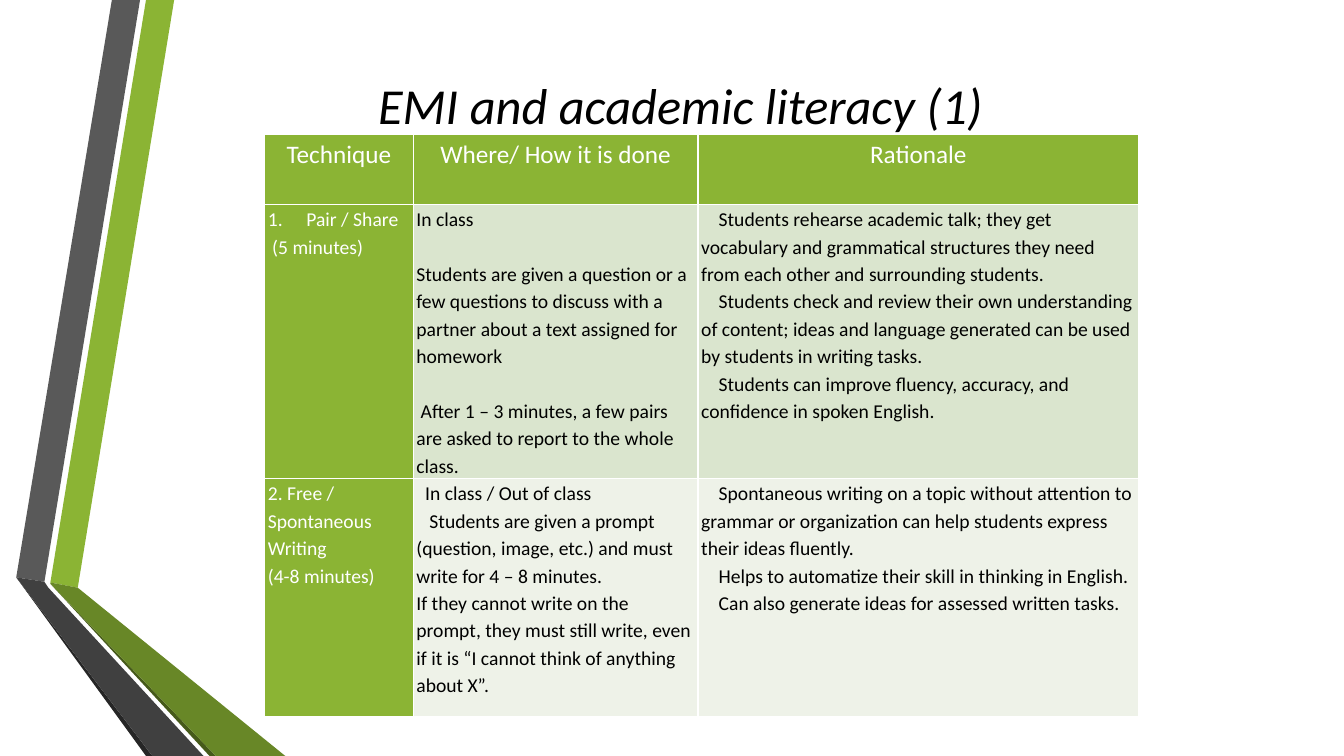
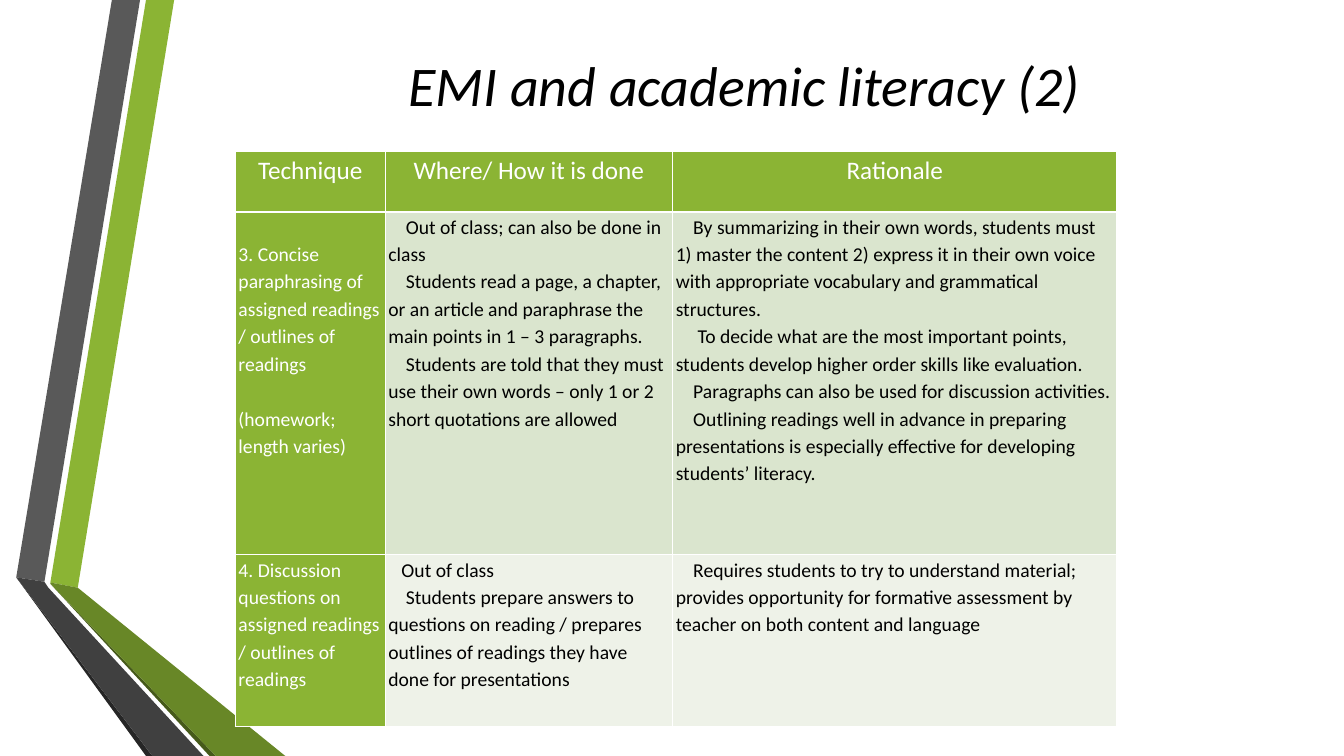
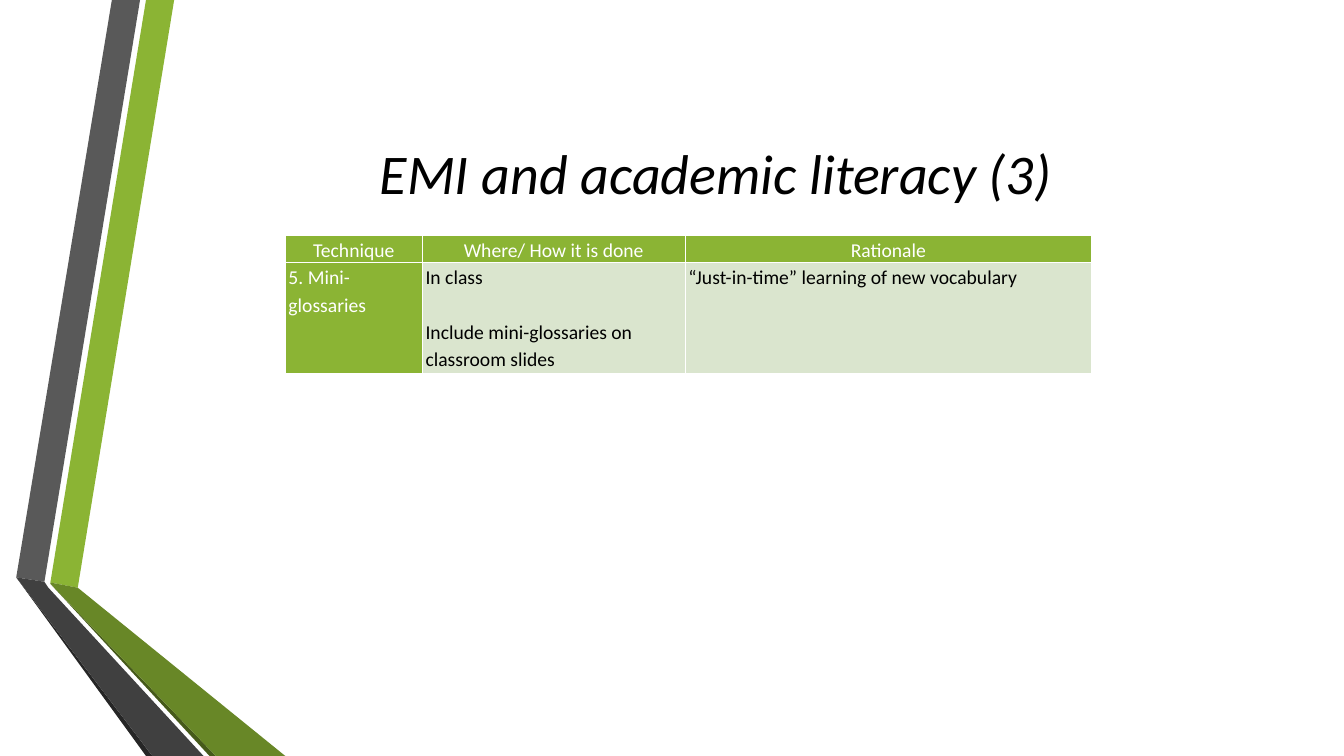
from dataclasses import dataclass

from lxml.etree import SubElement
from pptx import Presentation
from pptx.dml.color import RGBColor
from pptx.enum.text import MSO_ANCHOR, MSO_AUTO_SIZE, PP_ALIGN
from pptx.oxml.ns import qn
from pptx.util import Cm, Pt

FONT = "Calibri"
COLORS = {
    "green": "8BB434", "green_dark": "688727", "green_edge": "465A1A",
    "gray": "595959", "gray_dark": "404040", "gray_edge": "262626",
    "band_1": "DAE5CE", "band_2": "EEF2E8",
    "white": "FFFFFF", "black": "000000",
}
# Outlines in hundredths of a centimetre, from back to front
RIBBONS = [
    ("green", [(127, 1468), (196, 1481), (439, 0), (368, 0)]),
    ("gray", [(353, 0), (282, 0), (41, 1455), (112, 1466)]),
    ("gray_edge", [(41, 1455), (368, 1905), (384, 1905)]),
    ("green_edge", [(127, 1471), (528, 1905), (544, 1905)]),
    ("green_dark", [(127, 1471), (544, 1905), (719, 1905), (196, 1481), (127, 1468)]),
    ("gray_dark", [(513, 1905), (122, 1481), (112, 1466), (41, 1455), (384, 1905)]),
]
HEADERS = ["Technique", "Where/ How it is done", "Rationale"]
COLUMN_SHARES = [0.17, 0.326, 0.504]
BODY_SIZE = 14
LINE_SPACING = 1.15
BLANK_LINE = Pt(19.6)
SPACE_WIDTH = 0.11
NUMBER_INDENT = Cm(0.97)


@dataclass
class Para:
    """A cell paragraph; indent counts space widths, gap leaves a line above."""
    text: str
    indent: int = 4
    gap: bool = False
    numbered: bool = False


def plain(text, gap=False):
    return Para(text, 0, gap)


class Deck:
    def __init__(self):
        self.prs = Presentation()
        self.prs.slide_width, self.prs.slide_height = Cm(33.87), Cm(19.05)
        self.s = None

    def color(self, name):
        return RGBColor.from_string(COLORS[name])

    def add_slide(self, title, box, size):
        self.s = self.prs.slides.add_slide(self.prs.slide_layouts[5])
        self.ribbons()
        self.title(title, box, size)

    def ribbons(self):
        for color, points in RIBBONS:
            builder = self.s.shapes.build_freeform(*points[0], scale=Cm(0.01))
            builder.add_line_segments(points[1:], close=True)
            sp = builder.convert_to_shape()
            sp.shadow.inherit = False
            sp.fill.solid()
            sp.fill.fore_color.rgb = self.color(color)
            sp.line.fill.background()

    def title(self, text, box, size):
        sp = self.s.shapes.title
        sp.left, sp.top, sp.width, sp.height = map(Cm, box)
        tf = sp.text_frame
        tf.text = text
        tf.word_wrap = True
        tf.auto_size = MSO_AUTO_SIZE.NONE
        tf.vertical_anchor = MSO_ANCHOR.MIDDLE
        p = tf.paragraphs[0]
        p.alignment = PP_ALIGN.CENTER
        self.format_runs(p, size, "black")
        p.runs[0].font.italic = True

    def format_runs(self, p, size, color):
        for r in p.runs:
            r.font.name = FONT
            r.font.size = Pt(size)
            r.font.color.rgb = self.color(color)

    def table(self, left, top, width, heights, rows, header_size=18):
        frame = self.s.shapes.add_table(len(heights), len(HEADERS), Cm(left), Cm(top),
                                        Cm(width), Cm(sum(heights)))
        table = frame.table
        table.first_row = table.horz_banding = False
        for column, share in zip(table.columns, COLUMN_SHARES):
            column.width = Cm(width * share)
        for row, height in zip(table.rows, heights):
            row.height = Cm(height)
        for j, header in enumerate(HEADERS):
            self.cell(table.cell(0, j), [plain(header)], "green", header_size,
                      PP_ALIGN.CENTER)
        for i, row in enumerate(rows, 1):
            for j, paras in enumerate(row):
                fill = f"band_{2 - i % 2}" if j else "green"
                self.cell(table.cell(i, j), paras, fill)

    def cell(self, cell, paras, fill, size=BODY_SIZE, align=PP_ALIGN.LEFT):
        cell.margin_left = cell.margin_right = Cm(0.08)
        cell.margin_top = BLANK_LINE if paras[0].gap else 0
        cell.margin_bottom = 0
        self.borders(cell)
        cell.fill.solid()
        cell.fill.fore_color.rgb = self.color(fill)
        tf = cell.text_frame
        tf.text = "\n".join(para.text for para in paras)
        for k, (p, para) in enumerate(zip(tf.paragraphs, paras)):
            p.alignment = align
            p.line_spacing = LINE_SPACING
            if para.gap and k:
                p.space_before = BLANK_LINE
            self.indent(p, para)
            self.format_runs(p, size, "white" if fill == "green" else "black")

    def indent(self, p, para):
        pPr = p._p.get_or_add_pPr()
        if para.numbered:
            pPr.set("marL", str(NUMBER_INDENT))
            pPr.set("indent", str(-NUMBER_INDENT))
            SubElement(pPr, qn("a:buFont"), typeface="+mj-lt")
            SubElement(pPr, qn("a:buAutoNum"), type="arabicPeriod")
        elif para.indent:
            pPr.set("indent", str(Cm(para.indent * SPACE_WIDTH)))

    def borders(self, cell):
        tcPr = cell._tc.get_or_add_tcPr()
        for side in ("a:lnL", "a:lnR", "a:lnT", "a:lnB"):
            line = SubElement(tcPr, qn(side), w=str(Pt(1)))
            fill = SubElement(line, qn("a:solidFill"))
            SubElement(fill, qn("a:srgbClr"), val=COLORS["white"])


def main():
    deck = Deck()

    deck.add_slide("EMI and academic literacy (1)", (5.72, 1.75, 22.86, 1.78), 36)
    deck.table(6.67, 3.39, 22.02, [1.76, 6.9, 6], [
        [
            [Para("Pair / Share", numbered=True), Para("(5 minutes)", 1)],
            [
                plain("In class"),
                plain("Students are given a question or a few questions to discuss "
                      "with a partner about a text assigned for homework", gap=True),
                Para("After 1 – 3 minutes, a few pairs are asked to report to the "
                     "whole class.", 1, gap=True),
            ],
            [
                Para("Students rehearse academic talk; they get vocabulary and "
                     "grammatical structures they need from each other and "
                     "surrounding students."),
                Para("Students check and review their own understanding of content; "
                     "ideas and language generated can be used by students in "
                     "writing tasks."),
                Para("Students can improve fluency, accuracy, and confidence in "
                     "spoken English."),
            ],
        ],
        [
            [plain("2. Free / Spontaneous Writing"), plain("(4-8 minutes)")],
            [
                Para("In class / Out of class", 2),
                Para("Students are given a prompt (question, image, etc.) and must "
                     "write for 4 – 8 minutes.", 3),
                plain("If they cannot write on the prompt, they must still write, "
                      "even if it is “I cannot think of anything about X”."),
            ],
            [
                Para("Spontaneous writing on a topic without attention to grammar or "
                     "organization can help students express their ideas fluently."),
                Para("Helps to automatize their skill in thinking in English."),
                Para("Can also generate ideas for assessed written tasks."),
            ],
        ],
    ])

    deck.add_slide("EMI and academic literacy (2)", (8.69, 1.07, 20.12, 2.11), 40)
    deck.table(5.93, 3.81, 22.22, [1.53, 8.64, 4.32], [
        [
            [
                plain("3. Concise paraphrasing of assigned readings / outlines of "
                      "readings", gap=True),
                plain("(homework; length varies)", gap=True),
            ],
            [
                Para("Out of class; can also be done in class"),
                Para("Students read a page, a chapter, or an article and paraphrase "
                     "the main points in 1 – 3 paragraphs."),
                Para("Students are told that they must use their own words – only 1 "
                     "or 2 short quotations are allowed"),
            ],
            [
                Para("By summarizing in their own words, students must 1) master the "
                     "content 2) express it in their own voice with appropriate "
                     "vocabulary and grammatical structures."),
                Para("To decide what are the most important points, students develop "
                     "higher order skills like evaluation.", 5),
                Para("Paragraphs can also be used for discussion activities."),
                Para("Outlining readings well in advance in preparing presentations "
                     "is especially effective for developing students’ literacy."),
            ],
        ],
        [
            [plain("4. Discussion questions on assigned readings / outlines of "
                   "readings")],
            [
                Para("Out of class", 3),
                Para("Students prepare answers to questions on reading / prepares "
                     "outlines of readings they have done for presentations"),
            ],
            [Para("Requires students to try to understand material; provides "
                  "opportunity for formative assessment by teacher on both content "
                  "and language")],
        ],
    ])

    deck.add_slide("EMI and academic literacy (3)", (4.11, 1.9, 27.84, 4.88), 40)
    deck.table(7.19, 5.92, 20.32, [0.66, 2.79], [
        [
            [plain("5. Mini-glossaries")],
            [
                plain("In class"),
                plain("Include mini-glossaries on classroom slides", gap=True),
            ],
            [plain("“Just-in-time” learning of new vocabulary")],
        ],
    ], header_size=BODY_SIZE)

    deck.prs.save("out.pptx")


if __name__ == "__main__":
    main()
